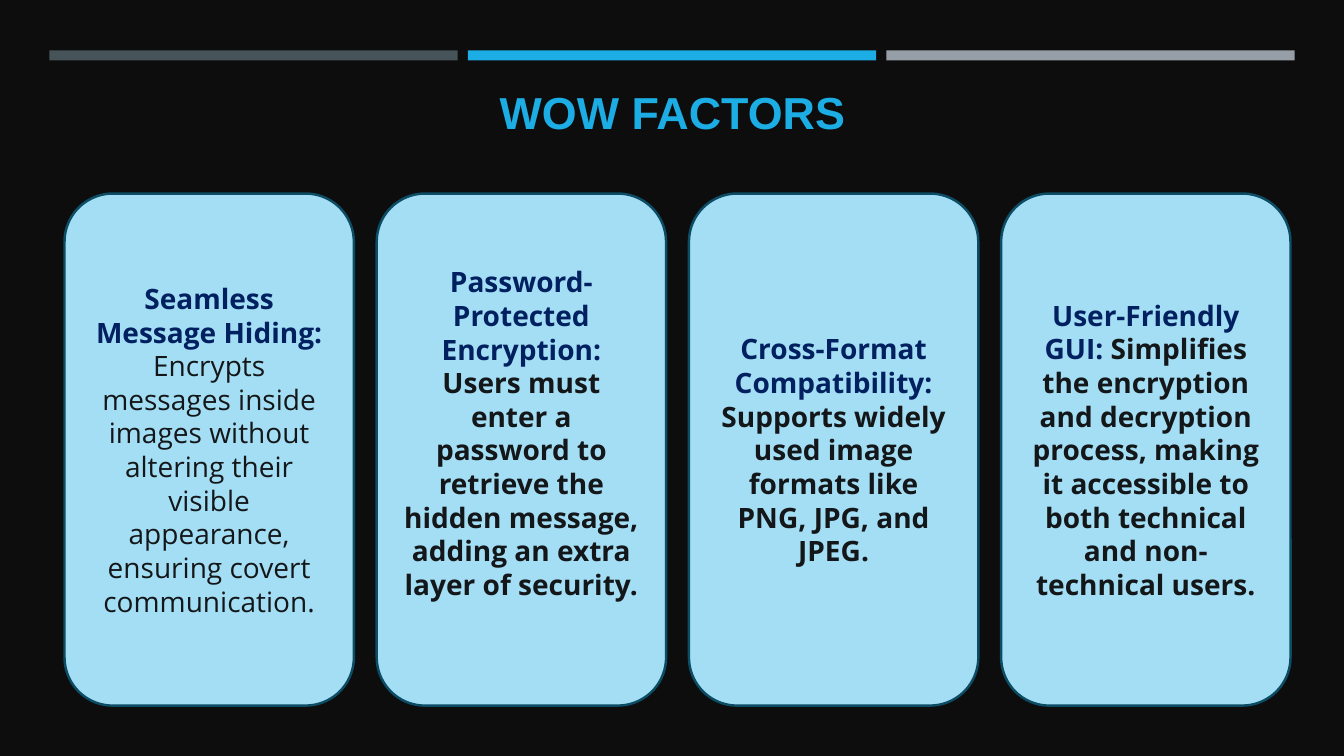
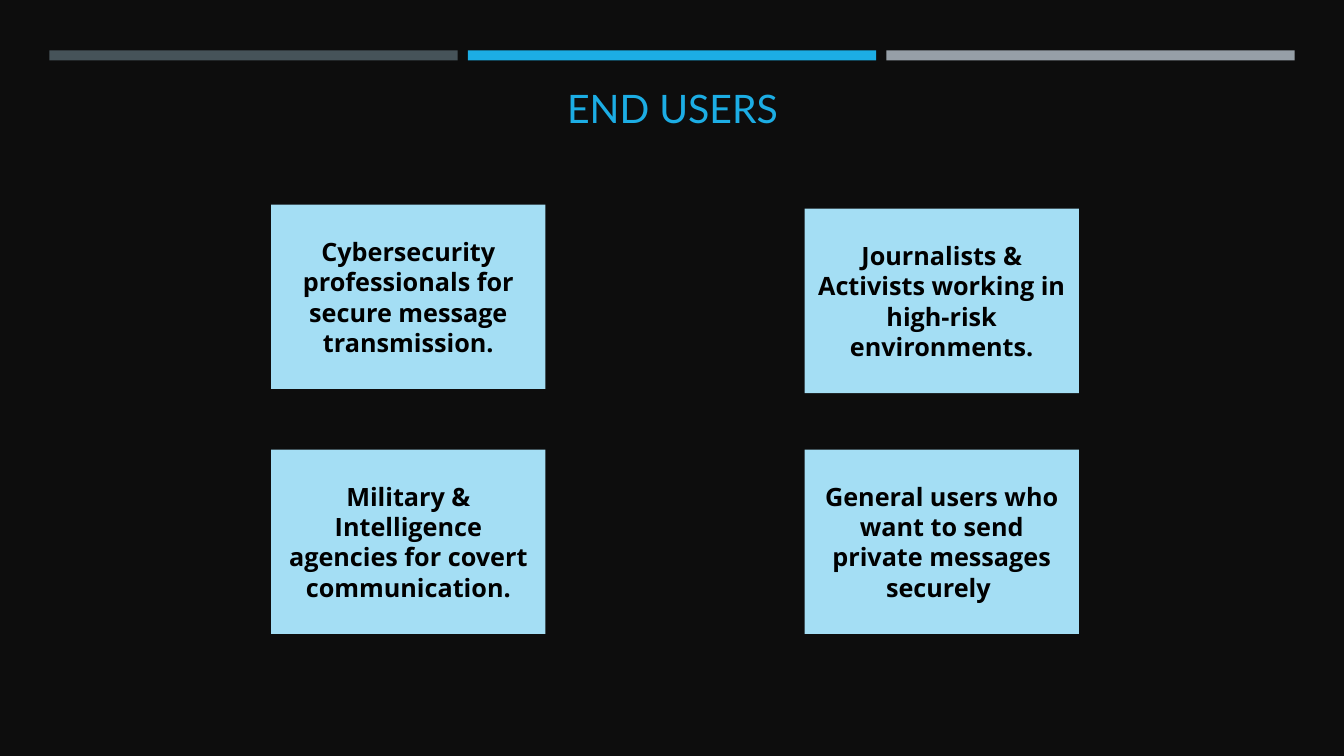
"""Build two dark slides, wow factors and end users, on a shared banded master."""
from dataclasses import dataclass

from pptx import Presentation
from pptx.dml.color import RGBColor
from pptx.enum.shapes import MSO_SHAPE
from pptx.enum.text import MSO_ANCHOR, MSO_AUTO_SIZE, PP_ALIGN
from pptx.util import Inches, Pt


@dataclass(frozen=True)
class Theme:
    background: RGBColor = RGBColor.from_string("0D0D0D")
    accent: RGBColor = RGBColor.from_string("1CADE4")
    slate: RGBColor = RGBColor.from_string("465359")
    silver: RGBColor = RGBColor.from_string("969FA7")
    panel: RGBColor = RGBColor.from_string("A4DEF4")
    outline: RGBColor = RGBColor.from_string("0C4C64")
    heading: RGBColor = RGBColor.from_string("002060")
    body: RGBColor = RGBColor.from_string("141719")
    black: RGBColor = RGBColor.from_string("000000")
    body_font: str = "Open Sans"
    card_size: Pt = Pt(20)
    user_size: Pt = Pt(18)
    outline_width: Pt = Pt(1.75)


theme = Theme()


def add_panel(slide, preset, left, top, width, height, fill):
    shape = slide.shapes.add_shape(
        preset, Inches(left), Inches(top), Inches(width), Inches(height))
    shape.shadow.inherit = False
    shape.fill.solid()
    shape.fill.fore_color.rgb = fill
    shape.line.fill.background()
    return shape


def write_centred(shape, runs, font_name, size, anchor=MSO_ANCHOR.MIDDLE):
    frame = shape.text_frame
    frame.word_wrap = True
    frame.auto_size = MSO_AUTO_SIZE.NONE
    frame.vertical_anchor = anchor
    paragraph = frame.paragraphs[0]
    paragraph.alignment = PP_ALIGN.CENTER
    paragraph.font.name = font_name
    paragraph.font.size = size
    for text, color, bold in runs:
        run = paragraph.add_run()
        run.text = text
        run.font.color.rgb = color
        run.font.bold = bold


presentation = Presentation()
presentation.slide_width = Inches(13.33)
presentation.slide_height = Inches(7.5)
master = presentation.slide_master
master.background.fill.solid()
master.background.fill.fore_color.rgb = theme.background
title_only = presentation.slide_layouts.get_by_name("Title Only")

slides = []
for text, top, font_name, size, bold in (
    ("WOW FACTORS", 0.84, "Arial", Pt(32), True),
    ("END USERS", 0.77, "Lato", Pt(28), False),
):
    slide = presentation.slides.add_slide(title_only)
    title = slide.shapes.title
    title.left, title.top = Inches(0.64), Inches(top)
    title.width, title.height = Inches(12.06), Inches(0.58)
    write_centred(title, [(text, theme.accent, bold)], font_name, size, MSO_ANCHOR.BOTTOM)
    slides.append(slide)
wow_slide, users_slide = slides

band_width, band_gap = 4.05, 0.1
for column, color in enumerate((theme.slate, theme.accent, theme.silver)):
    band = add_panel(wow_slide, MSO_SHAPE.RECTANGLE,
                     0.49 + column * (band_width + band_gap), 0.5, band_width, 0.1, color)
    master.shapes.element.append(band.element)

cards = (
    ("Seamless Message Hiding: ",
     "Encrypts messages inside images without altering their visible appearance, "
     "ensuring covert communication.", False, 0.05),
    ("Password-Protected Encryption:",
     " Users must enter a password to retrieve the hidden message, "
     "adding an extra layer of security.", True, 0.38),
    ("Cross-Format Compatibility: ",
     "Supports widely used image formats like PNG, JPG, and JPEG.", True, 0.05),
    ("User-Friendly GUI: ",
     "Simplifies the encryption and decryption process, making it accessible to "
     "both technical and non-technical users.", True, 0.05),
)
cards_left, cards_right, card_width = 0.64, 12.8, 2.87
card_pitch = (cards_right - cards_left - card_width) / (len(cards) - 1)
for column, (heading, detail, bold, bottom_margin) in enumerate(cards):
    card = add_panel(wow_slide, MSO_SHAPE.ROUNDED_RECTANGLE,
                     cards_left + column * card_pitch, 1.92, card_width, 5.08, theme.panel)
    card.line.color.rgb = theme.outline
    card.line.width = theme.outline_width
    card.text_frame.margin_bottom = Inches(bottom_margin)
    write_centred(card, [(heading, theme.heading, True), (detail, theme.body, bold)],
                  theme.body_font, theme.card_size)

user_columns = (
    (2.69, ((2.03, "Cybersecurity professionals for secure message transmission."),
            (4.46, "Military & Intelligence agencies for covert communication."))),
    (7.98, ((2.07, "Journalists & Activists working in high-risk environments."),
            (4.46, "General users who want to send private messages securely "))),
)
for left, users in user_columns:
    for top, text in users:
        box = add_panel(users_slide, MSO_SHAPE.RECTANGLE, left, top, 2.72, 1.83, theme.panel)
        write_centred(box, [(text, theme.black, True)], theme.body_font, theme.user_size)

presentation.save("out.pptx")
